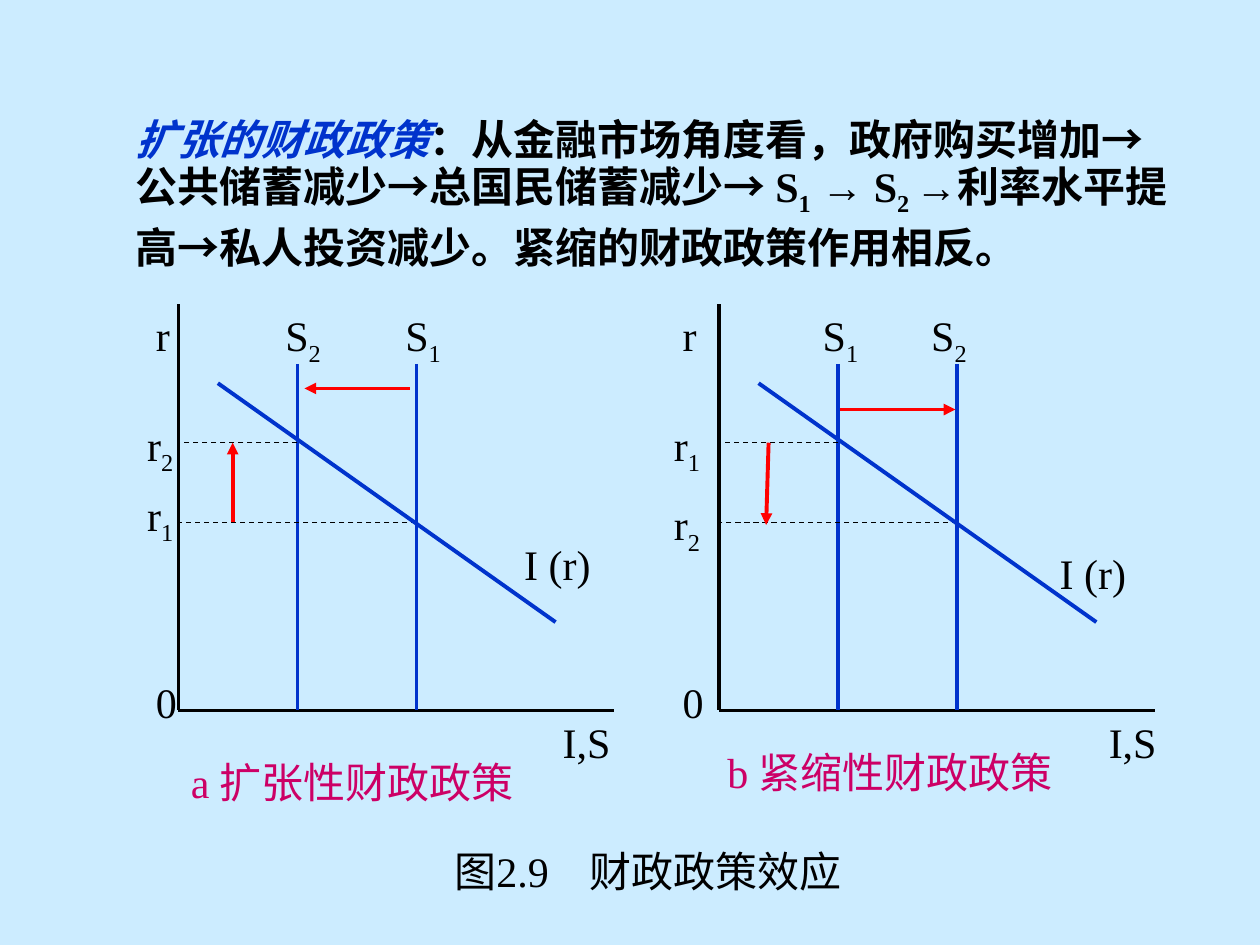
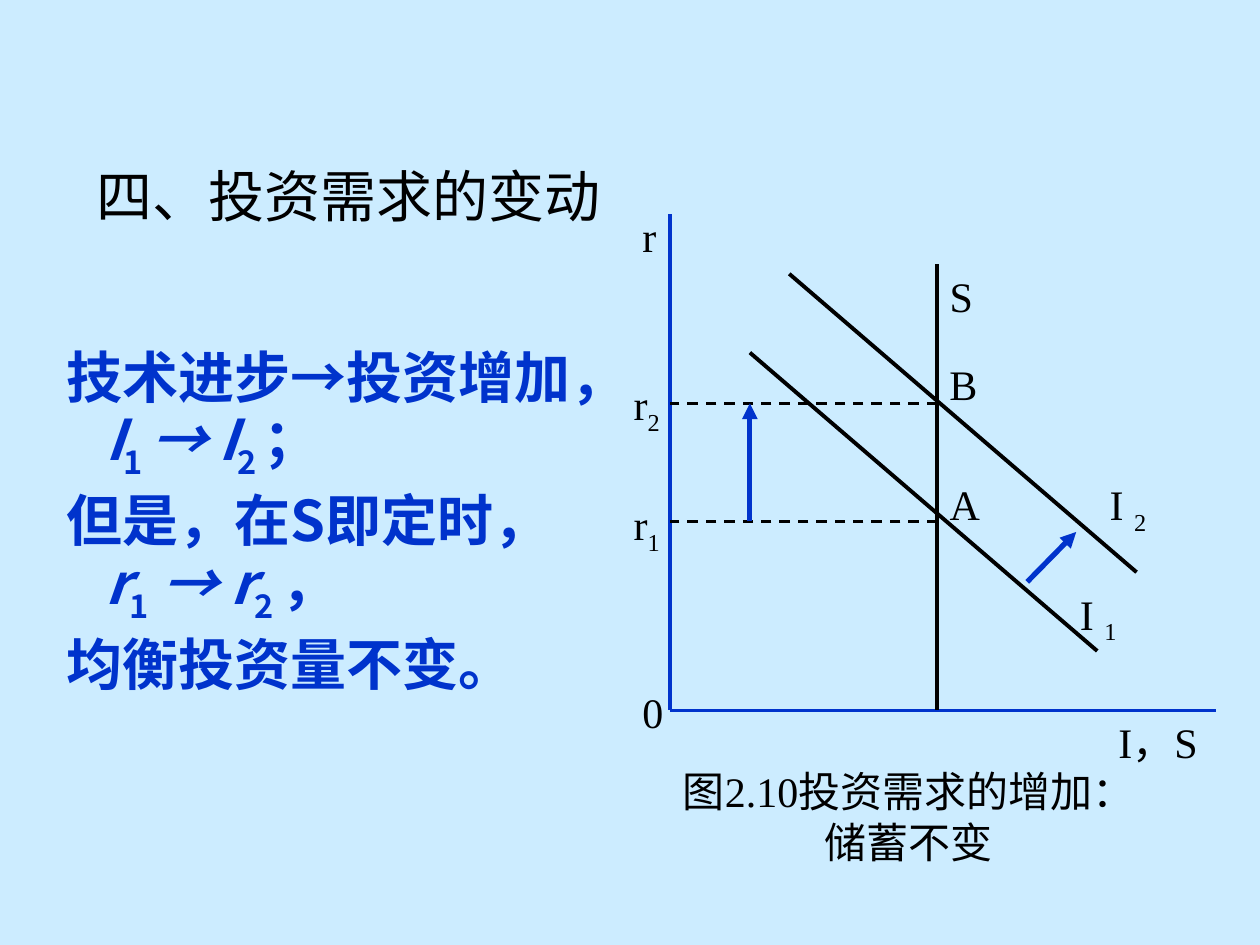
"""Build two slides on fiscal policy and investment demand diagrams."""
import pptx
import pptx.dml.color
import pptx.enum.dml
import pptx.enum.text
import pptx.oxml.ns
import pptx.util
from lxml import etree

Pt = pptx.util.Pt
qn = pptx.oxml.ns.qn
PP_ALIGN = pptx.enum.text.PP_ALIGN

COLORS = {"sky": "CCECFF", "ink": "000000", "blue": "0033CC", "red": "FF0000", "magenta": "CC0066"}
SERIF, SANS, CJK = "Times New Roman", "Arial", "Noto Sans CJK SC"
CAPTION_LEADING, BODY_LEADING = 1.2, 1.28
LABEL_WIDTHS = {"r": 22, "r1": 30, "r2": 30, "S": 27, "S1": 35, "S2": 35, "I (r)": 52,
                "0": 26, "I,S": 42, "I 1": 35, "I 2": 35, "A": 32, "B": 30}


def rgb(name):
    return pptx.dml.color.RGBColor.from_string(COLORS[name])


class Deck:
    def __init__(self):
        self.prs = pptx.Presentation()
        self.prs.slide_width, self.prs.slide_height = Pt(720), Pt(540)
        self.slide = None

    def new_slide(self, layout):
        self.slide = self.prs.slides.add_slide(self.prs.slide_layouts[layout])
        self.slide.background.fill.solid()
        self.slide.background.fill.fore_color.rgb = rgb("sky")

    def line(self, x1, y1, x2, y2, color="ink", width=2.25, dashed=False, arrow=False):
        link = self.slide.shapes.add_connector(1, Pt(x1), Pt(y1), Pt(x2), Pt(y2))
        link.line.color.rgb = rgb(color)
        link.line.width = Pt(width)
        if dashed:
            link.line.dash_style = pptx.enum.dml.MSO_LINE.DASH
        if arrow:
            etree.SubElement(link.line._get_or_add_ln(), qn("a:tailEnd"), type="triangle")
        etree.SubElement(link._element.spPr, qn("a:effectLst"))

    def fill_frame(self, frame, paragraphs, size, color, font, bold, align, wrap, leading):
        frame.word_wrap = wrap
        frame.auto_size = pptx.enum.text.MSO_AUTO_SIZE.NONE
        frame.vertical_anchor = pptx.enum.text.MSO_ANCHOR.TOP
        for index, runs in enumerate(paragraphs):
            para = frame.add_paragraph() if index else frame.paragraphs[0]
            para.alignment = align
            if leading:
                para.line_spacing = Pt(round(size * leading, 1))
            para.font.size, para.font.name, para.font.bold = Pt(size), font, bold
            para.font.color.rgb = rgb(color)
            etree.SubElement(para._p.pPr.find(qn("a:defRPr")), qn("a:ea"), typeface=CJK)
            for text, style in runs:
                run = para.add_run()
                run.text = text
                if "sub" in style:
                    run._r.get_or_add_rPr().set("baseline", "-25000")
                if "italic" in style:
                    run.font.italic = True
                if "blue" in style:
                    run.font.color.rgb = rgb("blue")

    def text(self, x, y, w, h, paragraphs, size=24, color="ink", font=SERIF, bold=False,
             align=PP_ALIGN.LEFT, wrap=False, leading=CAPTION_LEADING):
        box = self.slide.shapes.add_textbox(Pt(x), Pt(y), Pt(w), Pt(h))
        self.fill_frame(box.text_frame, paragraphs, size, color, font, bold, align, wrap, leading)
        return box.text_frame

    def label(self, x, y, main, sub=""):
        runs = [(main, "")] + ([(sub, "sub")] if sub else [])
        self.text(x, y, LABEL_WIDTHS[main + sub], 40 if sub else 36, [runs], leading=None)

    def title(self, x, y, w, h, words):
        heading = self.slide.shapes.title
        heading.left, heading.top, heading.width, heading.height = Pt(x), Pt(y), Pt(w), Pt(h)
        self.fill_frame(heading.text_frame, [[(words, "")]], 32, "ink", SANS, False,
                        PP_ALIGN.LEFT, True, CAPTION_LEADING)

    def axes(self, x, top, base, right, color):
        self.line(x, top, x, base, color)
        self.line(x, base, right, base, color)


def fiscal_policy(deck):
    deck.new_slide(6)
    high_rate, low_rate, base = 253, 298.5, 406
    for x in (102, 411):
        deck.axes(x, 174, base, x + 249, "ink")
        for saving, rate in ((68, high_rate), (136, low_rate)):
            deck.line(x + saving, 208, x + saving, base, "blue")
            deck.line(x + saving, rate, x, rate, width=0.75, dashed=True)
        deck.line(x + 22.5, 219, x + 215.5, 355.5, "blue")

    for x in (82, 383):
        deck.label(x, 173.5, "r")
        deck.label(x, 383, "0")
    for x, y, main, sub in (
            (77, 236, "r", "2"), (77, 276, "r", "1"), (156, 173.5, "S", "2"),
            (224.5, 173.5, "S", "1"), (292.5, 304, "I (r)", ""), (314.5, 406, "I,S", ""),
            (378, 236, "r", "1"), (378, 281.5, "r", "2"), (463, 173.5, "S", "1"),
            (525, 173.5, "S", "2"), (598.5, 309.5, "I (r)", ""), (626.5, 406, "I,S", "")):
        deck.label(x, y, main, sub)

    for shift in ((133, low_rate, 133, high_rate), (439.2, high_rate, 437.8, 300),
                  (234, 222, 174, 222), (480, 234, 546, 234)):
        deck.line(*shift, color="red", arrow=True)

    deck.text(102, 428.5, 204.5, 36, [[("a 扩张性财政政策", "")]], color="magenta")
    deck.text(408.5, 423, 206, 36, [[("b 紧缩性财政政策", "")]], color="magenta")
    caption = deck.text(252.5, 479.5, 235.5, 36, [[("图2.9\t财政政策效应", "")]])
    props = caption.paragraphs[0]._p.pPr
    tabs = etree.Element(qn("a:tabLst"))
    etree.SubElement(tabs, qn("a:tab"), pos=str(Pt(77.5)), algn="l")
    props.find(qn("a:defRPr")).addprevious(tabs)

    deck.text(70.5, 59.5, 614, 98, [[
        ("扩张的财政政策", "italic blue"),
        ("：从金融市场角度看，政府购买增加→公共储蓄减少→总国民储蓄减少→ S", ""),
        ("1", "sub"), (" → S", ""), ("2 ", "sub"),
        ("→利率水平提高→私人投资减少。紧缩的财政政策作用相反。", "")]],
        bold=True, wrap=True, leading=BODY_LEADING)


def investment_demand(deck):
    deck.new_slide(5)
    deck.title(48, 88.5, 320, 46, "四、投资需求的变动")
    axis, saving, base = 383, 535.5, 406
    rate_2, rate_1 = 230.5, 298
    deck.axes(axis, 122.5, base, 695, "blue")
    deck.line(saving, 151, saving, base)
    for rate in (rate_2, rate_1):
        deck.line(saving, rate, axis, rate, width=1.5, dashed=True)
    for x, y in ((451, 156.5), (428.5, 201.5)):
        deck.line(x, y, x + 198.5, y + 170.5)
    for shift in ((428.5, rate_1, 428.5, rate_2), (587, 332.5, 615, 304)):
        deck.line(*shift, color="blue", width=3, arrow=True)

    for x, y, main, sub in (
            (360, 389, "0", ""), (360, 116.5, "r", ""), (355, 213, "r", "2"),
            (355, 281.5, "r", "1"), (627, 270, "I ", "2"), (610, 332.5, "I ", "1"),
            (saving, 151, "S", ""), (saving, 270, "A", ""), (saving, 201.5, "B", "")):
        deck.label(x, y, main, sub)
    deck.text(632, 406, 71, 36, [[("I，S", "")]])
    deck.text(377.5, 434, 283.5, 65, [[("图2.10投资需求的增加：", "")], [("储蓄不变", "")]],
              align=PP_ALIGN.CENTER)

    argument = deck.text(31, 189.5, 340.5, 210, [
        [("技术进步→投资增加，", "")],
        [("I", "italic"), ("1 ", "sub"), ("→ I", "italic"), ("2 ", "sub"), ("；", "")],
        [("但是，在S即定时，", "")],
        [("r", "italic"), ("1", "sub"), (" → r", "italic"), ("2 ", "sub"), ("，", "")],
        [("均衡投资量不变。", "")]],
        size=32, color="blue", font=CJK, bold=True, wrap=True, leading=BODY_LEADING)
    for change in argument.paragraphs[1::2]:
        change._p.pPr.set("marL", str(Pt(22)))


def main():
    deck = Deck()
    fiscal_policy(deck)
    investment_demand(deck)
    deck.prs.save("out.pptx")


if __name__ == "__main__":
    main()
